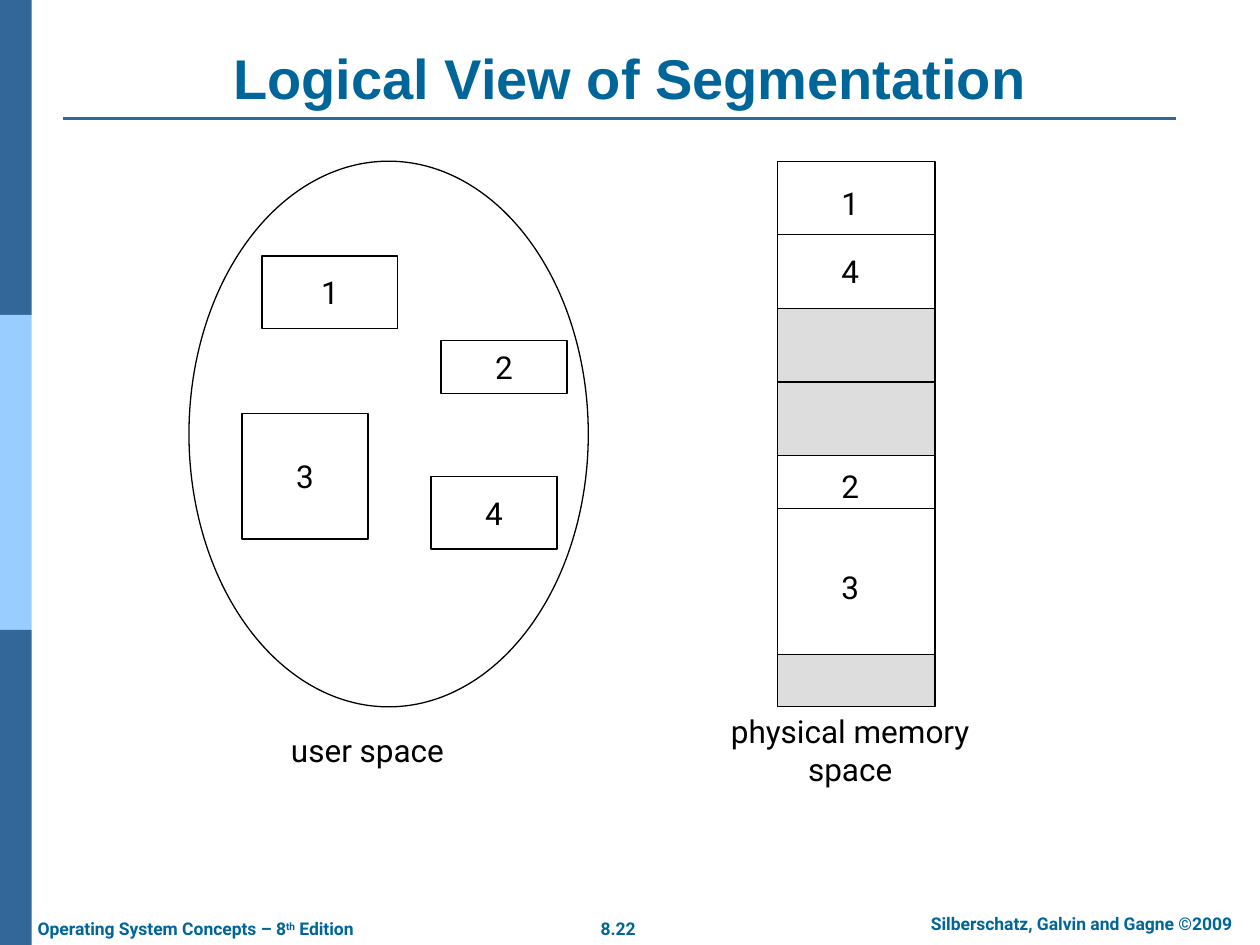
from lxml.etree import SubElement
from pptx import Presentation
from pptx.dml.color import RGBColor
from pptx.enum.shapes import MSO_CONNECTOR, MSO_SHAPE
from pptx.enum.text import MSO_ANCHOR, MSO_AUTO_SIZE, PP_ALIGN
from pptx.oxml.ns import qn
from pptx.util import Cm, Pt

BLACK = RGBColor(0x00, 0x00, 0x00)
WHITE = RGBColor(0xFF, 0xFF, 0xFF)
GRAY = RGBColor(0xDD, 0xDD, 0xDD)
BLUE = RGBColor(0x33, 0x66, 0x99)
SKY = RGBColor(0x99, 0xCC, 0xFF)
TEAL = RGBColor(0x00, 0x66, 0x99)


def write(shape, *parts, size=18, font="Roboto", color=BLACK, bold=False,
          align=PP_ALIGN.CENTER, anchor=MSO_ANCHOR.MIDDLE, wrap=False):
    frame = shape.text_frame
    frame.auto_size = MSO_AUTO_SIZE.NONE
    frame.word_wrap = wrap
    frame.vertical_anchor = anchor
    para = frame.paragraphs[0]
    para.alignment = align
    for index, part in enumerate(parts):
        run = para.add_run()
        run.text = part
        run.font.size = Pt(size)
        run.font.name = font
        run.font.bold = bold
        run.font.color.rgb = color
        if index % 2:
            run.font._element.set("baseline", "30000")


def label(shapes, box, *parts, **style):
    write(shapes.add_textbox(*map(Cm, box)), *parts, **style)


def block(shapes, box, fill=WHITE, line=BLACK, kind=MSO_SHAPE.RECTANGLE):
    shape = shapes.add_shape(kind, *map(Cm, box))
    shape.shadow.inherit = False
    shape.fill.solid()
    shape.fill.fore_color.rgb = fill
    if line is None:
        shape.line.fill.background()
    else:
        shape.line.color.rgb = line
        shape.line.width = Pt(0.75)
    return shape


def rule(shapes, left, top, width, color=BLACK, weight=0.75):
    line = shapes.add_connector(MSO_CONNECTOR.STRAIGHT, Cm(left), Cm(top),
                                Cm(left + width), Cm(top))
    line.line.color.rgb = color
    line.line.width = Pt(weight)
    SubElement(line._element.spPr, qn("a:effectLst"))


def sidebar(shapes, left, top, width, height):
    part = height / 3
    for index, color in enumerate((BLUE, SKY, BLUE)):
        block(shapes, (left, top + index * part, width, part), color, None)


def header(shapes, left, top, width, height):
    title = shapes.title
    title.left, title.top = Cm(left), Cm(top)
    title.width, title.height = Cm(width), Cm(height)
    write(title, "Logical View of Segmentation", size=32, font="Arial",
          color=TEAL, bold=True, anchor=MSO_ANCHOR.BOTTOM, wrap=True)
    rule(shapes, left, top + height + 0.03, 22.43, BLUE, 1.5)


def footer(shapes, left, top, height):
    style = dict(size=10, color=TEAL, bold=True, anchor=MSO_ANCHOR.TOP)
    label(shapes, (left, top, 7.32, height), "Operating System Concepts – 8",
          "th", " Edition", align=PP_ALIGN.LEFT, **style)
    label(shapes, (left + 11.33, top, 1.24, height), "8.22", **style)
    label(shapes, (left + 17.52, top - 0.1, 7.54, height),
          "Silberschatz, Galvin and Gagne ©2009", **style)


def user(shapes, left, top, width, height):
    block(shapes, (left, top, width, height), kind=MSO_SHAPE.OVAL)
    for name, x, y, w, h in (("1", 1.47, 1.91, 2.74, 1.47),
                             ("3", 1.07, 5.08, 2.54, 2.54),
                             ("2", 5.08, 3.61, 2.54, 1.07),
                             ("4", 4.88, 6.35, 2.54, 1.47)):
        write(block(shapes, (left + x, top + y, w, h)), name)
    label(shapes, (left + 1.71, top + height + 0.36, 3.78, 1.02), "user space")


def memory(shapes, left, top, width, height):
    group = shapes.add_group_shape().shapes
    y = top
    for size, split, fill in ((2.97, 1.48, WHITE), (2.97, 1.48, GRAY),
                              (4.01, 1.06, WHITE), (1.05, None, GRAY)):
        block(group, (left, y, width, size), fill)
        if split:
            rule(group, left, y + split, width)
        y += size
    for name, mid in (("1", 0.84), ("4", 2.21), ("2", 6.55), ("3", 8.59)):
        label(group, (left + 1.04, top + mid - 0.51, 0.86, 1.02), name)
    label(shapes, (left - 1.83, top + height + 0.36, 6.6, 1.02),
          "physical memory space", wrap=True)


def main():
    deck = Presentation()
    deck.slide_width, deck.slide_height = Cm(25.4), Cm(19.05)
    shapes = deck.slides.add_slide(deck.slide_layouts[5]).shapes
    sidebar(shapes, 0, 0, 0.64, 19.05)
    header(shapes, 1.27, 0.76, 22.86, 1.6)
    footer(shapes, 0.51, 18.39, 0.69)
    user(shapes, 3.81, 3.25, 8.05, 11)
    memory(shapes, 15.67, 3.25, 3.18, 11)
    deck.save("out.pptx")


if __name__ == "__main__":
    main()
